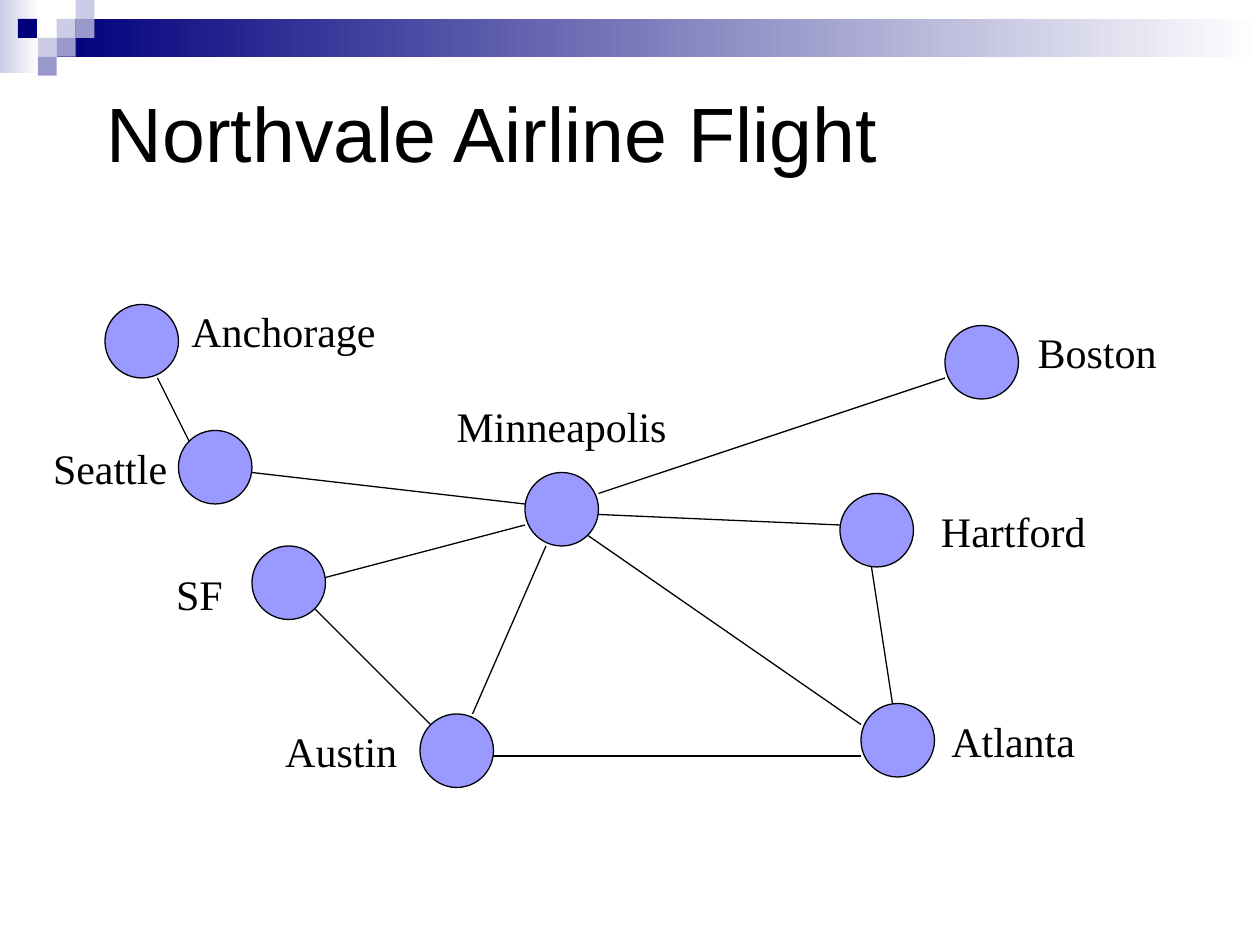
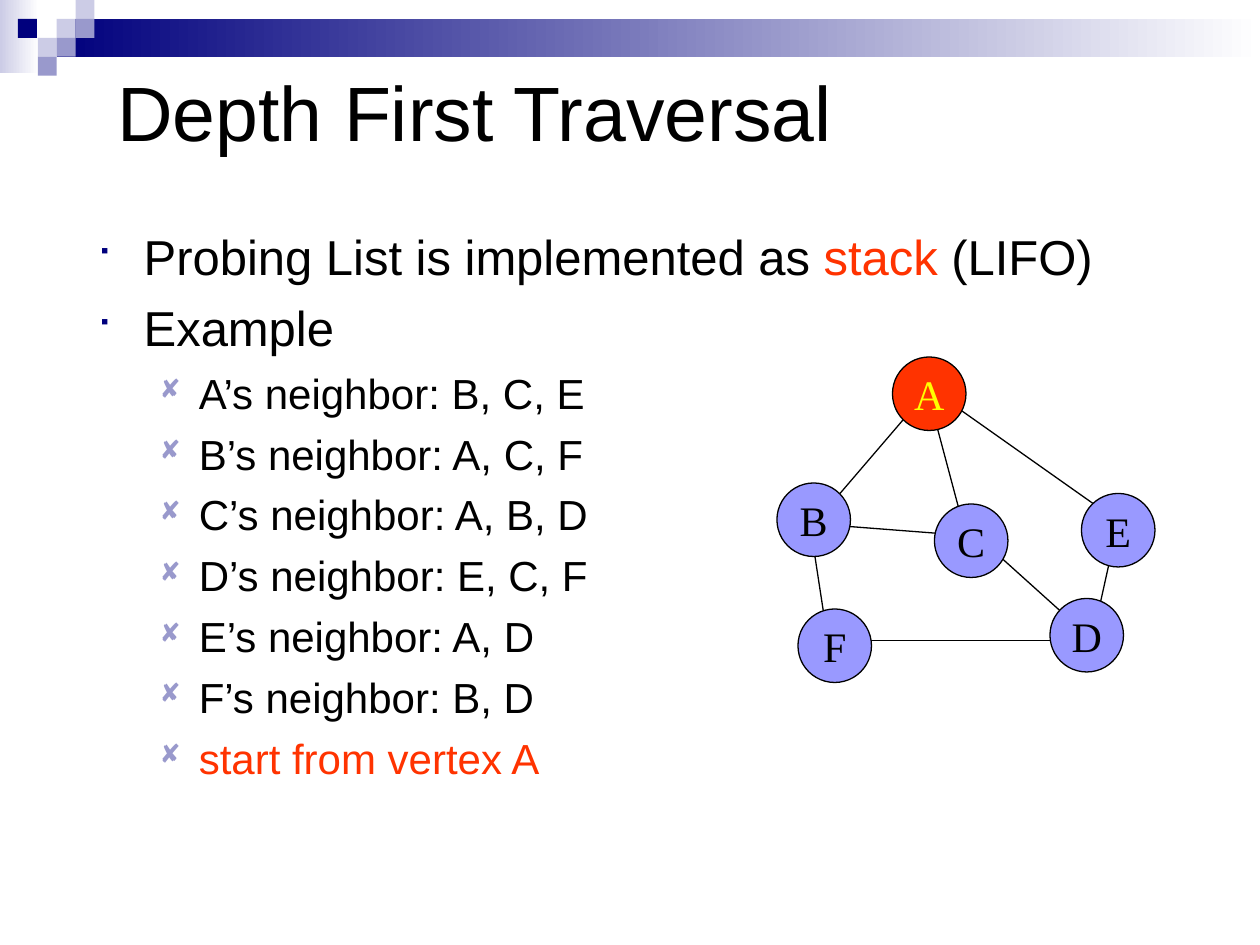
from lxml import etree
from pptx import Presentation, util as u
from pptx.dml.color import RGBColor
from pptx.enum import shapes, text
from pptx.oxml.ns import qn

COLORS = {
    "black": "000000", "white": "FFFFFF", "navy": "00007D", "slate": "9999CC",
    "mist": "CCCCE6", "node": "9999FF", "red": "FF3300", "yellow": "FFFF00",
}
SANS, SERIF, SYMBOLS = "Arial", "Times New Roman", "Wingdings"
GRID = 6
NODE = 7
TILE = 10.8

TILES = [(3, 1, "mist"), (4, 0, "mist"), (4, 1, "slate"), (2, 2, "mist"),
         (0.95, 1, "navy"), (3, 2, "slate"), (2, 3, "slate")]

CITIES = [
    ("Anchorage", (5, 1), (13, 0, 18)),
    ("Seattle", (12, 13), (0, 13, 11)),
    ("SF", (19, 24), (10, 25, 8)),
    ("Minneapolis", (45, 17), (39, 9, 19)),
    ("Austin", (35, 40), (21, 40, 13)),
    ("Atlanta", (77, 39), (85, 39, 13)),
    ("Hartford", (75, 19), (84, 19, 15)),
    ("Boston", (85, 3), (93, 2, 13)),
]
FLIGHTS = [
    (10, 8, 13, 14), (19, 17, 45, 20), (26, 27, 45, 22), (25, 30, 36, 41),
    (40, 40, 47, 24), (42, 44, 77, 44), (52, 21, 75, 22), (78, 26, 80, 39),
    (51, 23, 77, 41), (52, 19, 85, 8),
]

VERTICES = {"A": (11, 0), "B": (0, 12), "C": (15, 14),
            "E": (29, 13), "F": (2, 24), "D": (26, 23)}
EDGES = [
    (5, 16, 18, 17), (12, 6, 6, 13), (14, 2, 18, 17), (16, 4, 33, 16),
    (3, 15, 5, 28), (32, 18, 30, 27), (19, 17, 29, 26), (7, 27, 28, 27),
]

LEVELS = [
    {"size": 28, "left": 27, "hang": 27, "before": 7,
     "mark": "■", "color": "navy", "scale": 75},
    {"size": 24, "left": 58.5, "hang": 22.5, "before": 6,
     "mark": "◻", "color": "slate", "scale": 80},
]
OUTLINE = [
    (0, [("Probing List is implemented as ", "black"), ("stack", "red"),
         (" (LIFO)", "black")]),
    (0, [("Example", "black")]),
    (1, [("A’s neighbor: B, C, E", "black")]),
    (1, [("B’s neighbor: A, C, F", "black")]),
    (1, [("C’s neighbor: A, B, D", "black")]),
    (1, [("D’s neighbor: E, C, F", "black")]),
    (1, [("E’s neighbor: A, D", "black")]),
    (1, [("F’s neighbor: B, D", "black")]),
    (1, [("start from vertex A", "red")]),
]


def rgb(name):
    return RGBColor.from_string(COLORS[name])


def points(*lengths):
    return [u.Pt(length) for length in lengths]


def style(span, face, size, color="black"):
    span.font.name = face
    span.font.size = u.Pt(size)
    span.font.color.rgb = rgb(color)


def write_centred(shape, words, color="black"):
    frame = shape.text_frame
    frame.text = words
    frame.word_wrap = False
    frame.vertical_anchor = text.MSO_ANCHOR.MIDDLE
    para = frame.paragraphs[0]
    para.alignment = text.PP_ALIGN.CENTER
    style(para.runs[0], SERIF, 24, color)


def add_block(page, box, fill=None, fade=False):
    block = page.shapes.add_shape(shapes.MSO_SHAPE.RECTANGLE, *points(*box))
    block.shadow.inherit = False
    block.line.fill.background()
    if fade:
        block.fill.gradient()
        block.fill.gradient_angle = 0
        for stop, color in zip(block.fill.gradient_stops, (fill, "white")):
            stop.color.rgb = rgb(color)
    elif fill:
        block.fill.solid()
        block.fill.fore_color.rgb = rgb(fill)
    else:
        block.fill.background()
    return block


def add_banner(page):
    add_block(page, (0, 0, 22.3, 41.8), "mist", fade=True)
    add_block(page, (3 * TILE, TILE, 720 - 3 * TILE, 2 * TILE), "navy", fade=True)
    for column, row, color in TILES:
        add_block(page, (column * TILE, row * TILE, TILE, TILE), color)


def add_title(page, words, left, top):
    frame = page.shapes.add_textbox(*points(left, top, 612, 90)).text_frame
    frame.text = words
    frame.word_wrap = True
    frame.vertical_anchor = text.MSO_ANCHOR.MIDDLE
    style(frame.paragraphs[0].runs[0], SANS, 44)


def add_node(page, left, top, fill="node"):
    node = page.shapes.add_shape(shapes.MSO_SHAPE.OVAL,
                                 *points(left, top, NODE * GRID, NODE * GRID))
    node.shadow.inherit = False
    node.fill.solid()
    node.fill.fore_color.rgb = rgb(fill)
    node.line.color.rgb = rgb("black")
    node.line.width = u.Pt(0.75)
    return node


def add_links(page, left, top, links):
    for x1, y1, x2, y2 in links:
        link = page.shapes.add_connector(
            shapes.MSO_CONNECTOR.STRAIGHT,
            *points(left + x1 * GRID, top + y1 * GRID,
                    left + x2 * GRID, top + y2 * GRID))
        link.line.color.rgb = rgb("black")
        link.line.width = u.Pt(0.75)
        etree.SubElement(link._element.spPr, qn("a:effectLst"))


def add_flight_map(page, left, top):
    add_links(page, left, top, FLIGHTS)
    for city, (x, y), (label_x, label_y, label_width) in CITIES:
        add_node(page, left + x * GRID, top + y * GRID)
        label = add_block(page, (left + label_x * GRID, top + label_y * GRID,
                                 label_width * GRID, NODE * GRID))
        write_centred(label, city)


def add_vertex_graph(page, left, top, start):
    add_links(page, left, top, EDGES)
    for letter, (x, y) in VERTICES.items():
        fill, ink = ("red", "yellow") if letter == start else ("node", "black")
        node = add_node(page, left + x * GRID, top + y * GRID, fill)
        write_centred(node, letter, ink)


def set_bullet(para, level):
    props = para._p.get_or_add_pPr()
    props.set("marL", str(u.Pt(level["left"])))
    props.set("indent", str(-u.Pt(level["hang"])))
    color = etree.SubElement(props, qn("a:buClr"))
    etree.SubElement(color, qn("a:srgbClr"), val=COLORS[level["color"]])
    etree.SubElement(props, qn("a:buSzPct"), val=str(level["scale"] * 1000))
    etree.SubElement(props, qn("a:buFont"), typeface=SYMBOLS, charset="2")
    etree.SubElement(props, qn("a:buChar"), char=level["mark"])


def add_outline(page, left, top, width, height):
    frame = page.shapes.add_textbox(*points(left, top, width, height)).text_frame
    frame.word_wrap = True
    for index, (depth, pieces) in enumerate(OUTLINE):
        level = LEVELS[depth]
        para = frame.add_paragraph() if index else frame.paragraphs[0]
        para.level = depth
        set_bullet(para, level)
        para.space_before = u.Pt(level["before"] if index else 0)
        for words, color in pieces:
            span = para.add_run()
            span.text = words
            style(span, SANS, level["size"], color)


def add_page(deck):
    page = deck.slides.add_slide(deck.slide_layouts[6])
    add_banner(page)
    return page


def build_flight_page(deck):
    page = add_page(deck)
    add_title(page, "Northvale Airline Flight", 54, 30)
    add_flight_map(page, 30, 168)


def build_traversal_page(deck):
    page = add_page(deck)
    add_title(page, "Depth First Traversal", 60, 18)
    add_outline(page, 48, 126, 588, 348)
    add_vertex_graph(page, 444, 204, start="A")


def main():
    deck = Presentation()
    deck.slide_width, deck.slide_height = points(720, 540)
    build_flight_page(deck)
    build_traversal_page(deck)
    deck.save("out.pptx")


if __name__ == "__main__":
    main()
